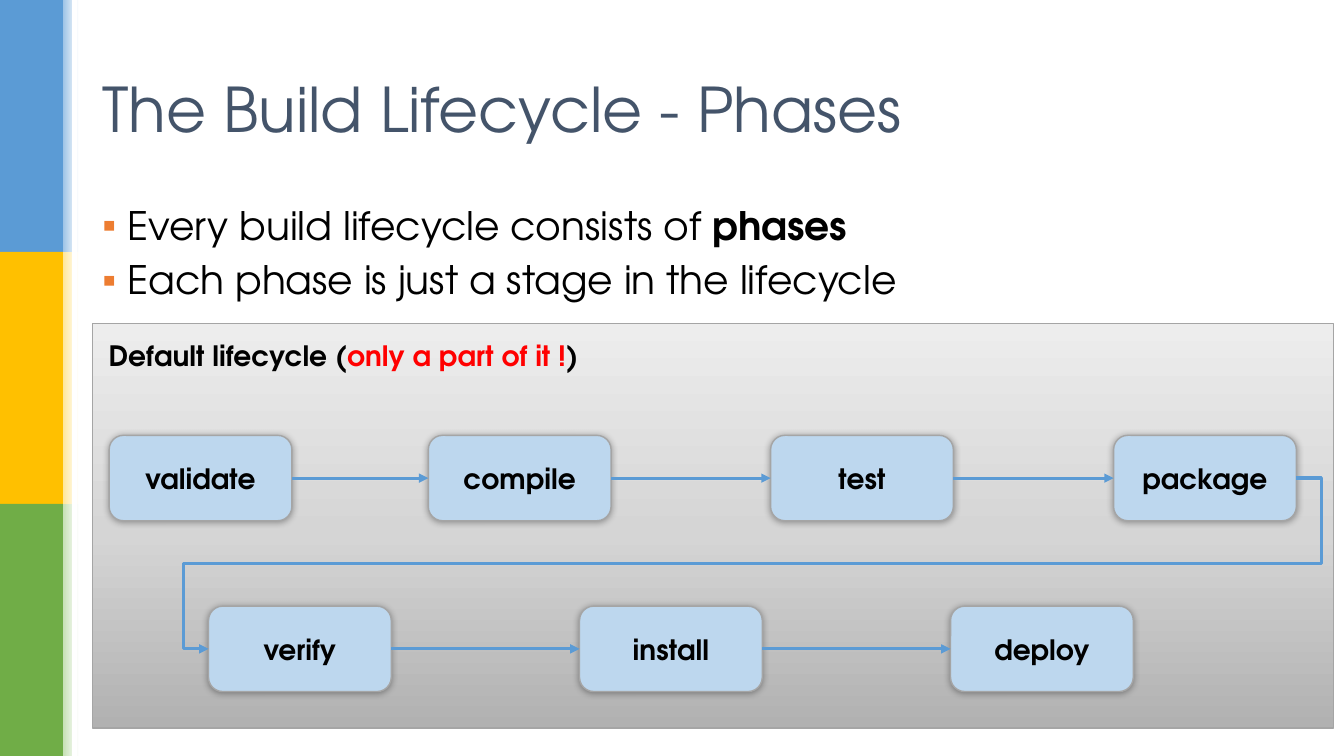
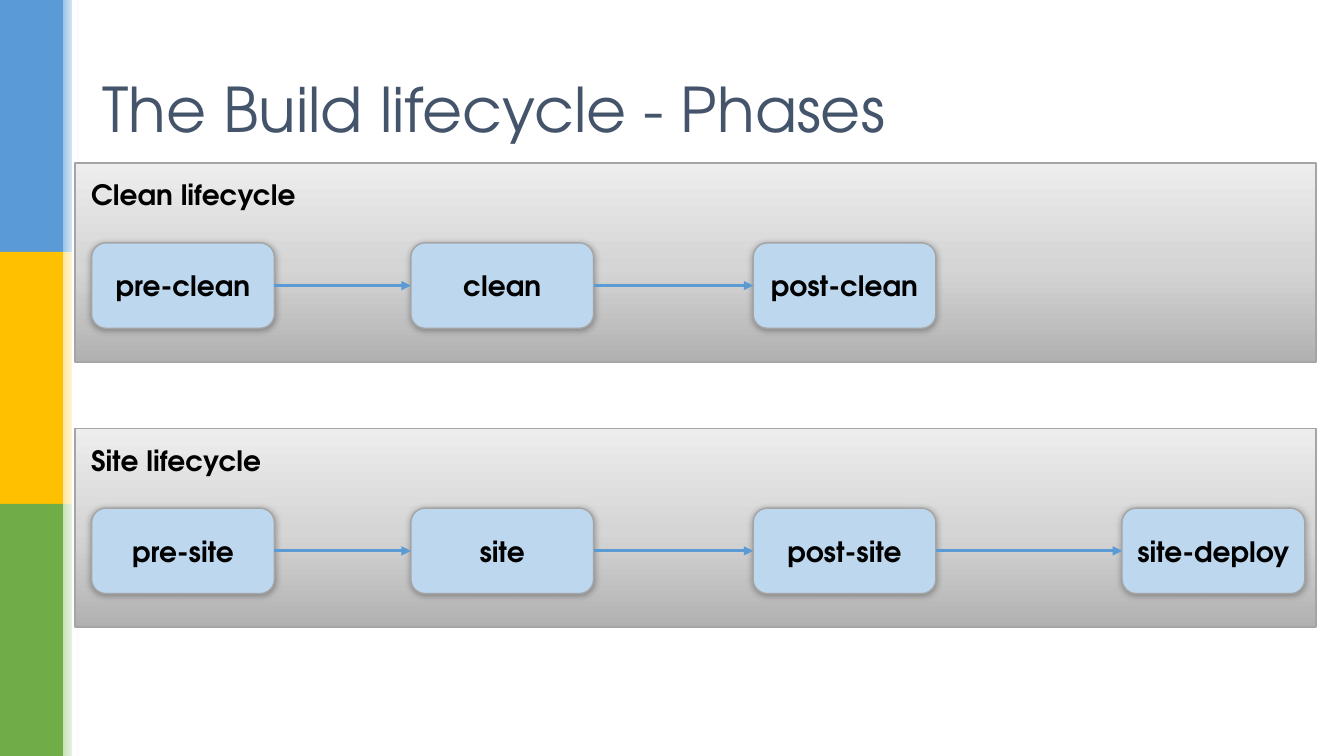
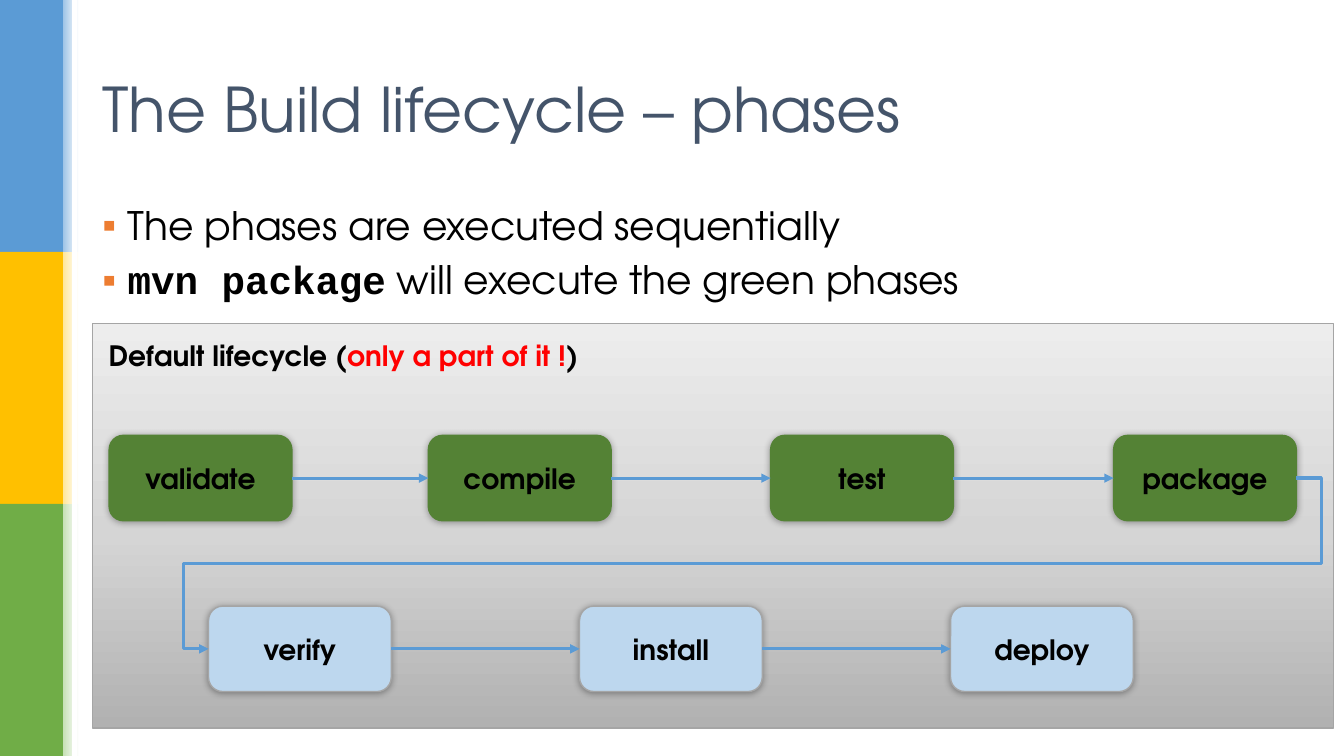
import itertools

import pptx
import pptx.dml.color
import pptx.enum.shapes
import pptx.enum.text
import pptx.oxml
import pptx.oxml.ns
import pptx.util

Pt = pptx.util.Pt
RGBColor = pptx.dml.color.RGBColor
SHAPE = pptx.enum.shapes.MSO_SHAPE
CONNECTOR = pptx.enum.shapes.MSO_CONNECTOR
ALIGN = pptx.enum.text.PP_ALIGN
ANCHOR = pptx.enum.text.MSO_ANCHOR
NAMESPACE = pptx.oxml.ns.nsdecls("a")

BLACK = RGBColor(0x00, 0x00, 0x00)
WHITE = RGBColor(0xFF, 0xFF, 0xFF)
RED = RGBColor(0xFF, 0x00, 0x00)
SLATE = RGBColor(0x44, 0x54, 0x6A)
ORANGE = RGBColor(0xED, 0x7D, 0x31)
GRAY = RGBColor(0xA5, 0xA5, 0xA5)
BLUE = RGBColor(0x5B, 0x9B, 0xD5)
YELLOW = RGBColor(0xFF, 0xC0, 0x00)
GREEN = RGBColor(0x70, 0xAD, 0x47)
SOFT_BLUE = RGBColor(0x9D, 0xC3, 0xE6)
SOFT_YELLOW = RGBColor(0xFF, 0xE6, 0x99)
SOFT_GREEN = RGBColor(0xC5, 0xE0, 0xB4)
PHASE_BLUE = RGBColor(0xBD, 0xD7, 0xEE)
PHASE_GREEN = RGBColor(0x54, 0x82, 0x35)
PANEL_STOPS = [(0, RGBColor(0xB1, 0xB1, 0xB1)), (48, RGBColor(0xD5, 0xD5, 0xD5)),
               (100, RGBColor(0xED, 0xED, 0xED))]

FONT = "TeX Gyre Adventor"
CODE_FONT = "Courier New"
BAND_WIDTH, BAND_HEIGHT = 45, 180
PANEL_WIDTH = 886.5
PHASE_WIDTH, PHASE_HEIGHT = 130.5, 61
RIGHT_SITE, LEFT_SITE = 3, 1


def write(paragraph, text, size=20, color=BLACK, font=FONT, bold=False):
    """Append one formatted run to the paragraph."""
    run = paragraph.add_run()
    run.text = text
    run.font.size = Pt(size)
    run.font.name = font
    run.font.bold = bold
    run.font.color.rgb = color


def add_box(slide, kind, left, top, width, height, fill, line=None, angle=0):
    """Add a shape; fill is a colour or a list of (percent, colour) gradient stops."""
    shape = slide.shapes.add_shape(kind, Pt(left), Pt(top), Pt(width), Pt(height))
    shape.shadow.inherit = False
    if isinstance(fill, list):
        shape.fill.gradient()
        shape.fill.gradient_angle = angle
        stops = shape.element.spPr.find(".//" + pptx.oxml.ns.qn("a:gsLst"))
        for stop in list(stops):
            stops.remove(stop)
        for percent, color in fill:
            stops.append(pptx.oxml.parse_xml(
                f'<a:gs {NAMESPACE} pos="{percent * 1000}"><a:srgbClr val="{color}"/></a:gs>'))
    else:
        shape.fill.solid()
        shape.fill.fore_color.rgb = fill
    if line is None:
        shape.line.fill.background()
    else:
        shape.line.color.rgb = line
        shape.line.width = Pt(1)
    return shape


# A row is its offset from the panel top and its phases with their left offsets.
default_rows = [
    (80, [("validate", 12), ("compile", 240), ("test", 484.5), ("package", 729.5)]),
    (202, [("verify", 83), ("install", 348), ("deploy", 613)]),
]
clean_rows = [(57, [("pre-clean", 12), ("clean", 240), ("post-clean", 484.5)])]
site_rows = [(57, [("pre-site", 12), ("site", 240), ("post-site", 484.5), ("site-deploy", 748)])]

default_label = [("Default lifecycle (", BLACK), ("only a part of it !", RED), (")", BLACK)]
default_panel = dict(left=66, top=231, height=289, label=default_label,
                     label_width=351, rows=default_rows)
clean_panel = dict(left=53.5, top=116.5, height=142, label=[("Clean lifecycle", BLACK)],
                   label_width=163, rows=clean_rows)
site_panel = dict(left=53.5, top=306, height=142, label=[("Site lifecycle", BLACK)],
                  label_width=137.5, rows=site_rows)

strong = dict(bold=True)
code = dict(bold=True, font=CODE_FONT)
slide_contents = [
    ("The Build Lifecycle - Phases",
     [[("Every build lifecycle consists of ", {}), ("phases", strong)],
      [("Each phase is just a stage in the lifecycle", {})]],
     [default_panel], []),
    ("The Build lifecycle - Phases", [], [clean_panel, site_panel], []),
    ("The Build lifecycle – phases",
     [[("The phases are executed sequentially", {})],
      [("mvn package", code), (" will execute the green phases", {})]],
     [default_panel], ["validate", "compile", "test", "package"]),
]

presentation = pptx.Presentation()
presentation.slide_width = Pt(960)
presentation.slide_height = Pt(540)
content_layout = presentation.slide_layouts[1]
title_layout = presentation.slide_layouts[5]

for title, bullets, panels, green_phases in slide_contents:
    slide = presentation.slides.add_slide(content_layout if bullets else title_layout)

    # The side bands are drawn once and moved to the master.
    if len(presentation.slides) == 1:
        bands = []
        for index, (color, soft) in enumerate(
                [(BLUE, SOFT_BLUE), (YELLOW, SOFT_YELLOW), (GREEN, SOFT_GREEN)]):
            top = index * BAND_HEIGHT
            bands.append(add_box(slide, SHAPE.RECTANGLE, 0, top, BAND_WIDTH, BAND_HEIGHT, color))
            bands.append(add_box(slide, SHAPE.RECTANGLE, BAND_WIDTH, top, 11.5, BAND_HEIGHT,
                                 [(0, soft), (100, WHITE)]))
        bands.append(add_box(slide, SHAPE.RECTANGLE, 51.5, 0, 3.5, 540, WHITE))
        master_tree = presentation.slide_master.element.cSld.spTree
        for position, band in enumerate(bands, start=2):
            master_tree.insert(position, band.element)

    title_shape = slide.shapes.title
    title_shape.left, title_shape.top = Pt(66), Pt(28.5)
    title_shape.width, title_shape.height = Pt(828), Pt(104.5)
    title_shape.text_frame.vertical_anchor = ANCHOR.MIDDLE
    title_paragraph = title_shape.text_frame.paragraphs[0]
    title_paragraph.alignment = ALIGN.LEFT
    title_paragraph.line_spacing = 0.9
    write(title_paragraph, title, size=44, color=SLATE)

    if bullets:
        body = slide.placeholders[1]
        body.left, body.top, body.width, body.height = Pt(66), Pt(144), Pt(828), Pt(343)
        for index, runs in enumerate(bullets):
            frame = body.text_frame
            paragraph = frame.add_paragraph() if index else frame.paragraphs[0]
            paragraph.line_spacing = 0.9
            paragraph.space_before = Pt(8.4)
            properties = paragraph._p.get_or_add_pPr()
            properties.set("marL", str(Pt(18)))
            properties.set("indent", str(-Pt(18)))
            for bullet_xml in (
                    f'<a:buClr {NAMESPACE}><a:srgbClr val="{ORANGE}"/></a:buClr>',
                    f'<a:buChar {NAMESPACE} char="▪"/>'):
                properties.append(pptx.oxml.parse_xml(bullet_xml))
            for text, style in runs:
                write(paragraph, text, size=28, **style)

    for panel in panels:
        left, top = panel["left"], panel["top"]
        add_box(slide, SHAPE.RECTANGLE, left, top, PANEL_WIDTH, panel["height"],
                PANEL_STOPS, line=GRAY, angle=90)
        label = slide.shapes.add_textbox(Pt(left + 4.5), Pt(top + 7),
                                         Pt(panel["label_width"]), Pt(31.5))
        label.text_frame.word_wrap = False
        label.text_frame.auto_size = pptx.enum.text.MSO_AUTO_SIZE.SHAPE_TO_FIT_TEXT
        for text, color in panel["label"]:
            write(label.text_frame.paragraphs[0], text, color=color, bold=True)

        phases = []
        for row_offset, row in panel["rows"]:
            for name, phase_offset in row:
                green = name in green_phases
                phase = add_box(slide, SHAPE.ROUNDED_RECTANGLE, left + phase_offset,
                                top + row_offset, PHASE_WIDTH, PHASE_HEIGHT,
                                PHASE_GREEN if green else PHASE_BLUE,
                                line=PHASE_GREEN if green else GRAY)
                effects = phase.element.spPr.find(pptx.oxml.ns.qn("a:effectLst"))
                effects.append(pptx.oxml.parse_xml(
                    f'<a:outerShdw {NAMESPACE} blurRad="{Pt(5)}" dist="{Pt(1)}" dir="5400000" '
                    'algn="ctr" rotWithShape="0"><a:srgbClr val="000000">'
                    '<a:alpha val="32000"/></a:srgbClr></a:outerShdw>'))
                phase.text_frame.vertical_anchor = ANCHOR.MIDDLE
                paragraph = phase.text_frame.paragraphs[0]
                paragraph.alignment = ALIGN.CENTER
                write(paragraph, name, bold=True)
                phases.append(phase)

        for start, end in itertools.pairwise(phases):
            same_row = start.top == end.top
            arrow = slide.shapes.add_connector(
                CONNECTOR.STRAIGHT if same_row else CONNECTOR.ELBOW, 0, 0, 0, 0)
            arrow.begin_connect(start, RIGHT_SITE)
            arrow.end_connect(end, LEFT_SITE)
            arrow.line.color.rgb = BLUE
            arrow.line.width = Pt(2.25)
            arrow.line._get_or_add_ln().append(
                pptx.oxml.parse_xml(f'<a:tailEnd {NAMESPACE} type="triangle"/>'))
            arrow_properties = arrow.element.spPr
            arrow_properties.append(pptx.oxml.parse_xml(f"<a:effectLst {NAMESPACE}/>"))
            if not same_row:
                geometry = arrow_properties.find(pptx.oxml.ns.qn("a:prstGeom"))
                geometry.set("prst", "bentConnector5")
                adjustments = geometry.find(pptx.oxml.ns.qn("a:avLst"))
                for number, value in enumerate([-2300, 50000, 102300], start=1):
                    adjustments.append(pptx.oxml.parse_xml(
                        f'<a:gd {NAMESPACE} name="adj{number}" fmla="val {value}"/>'))

presentation.save("out.pptx")
